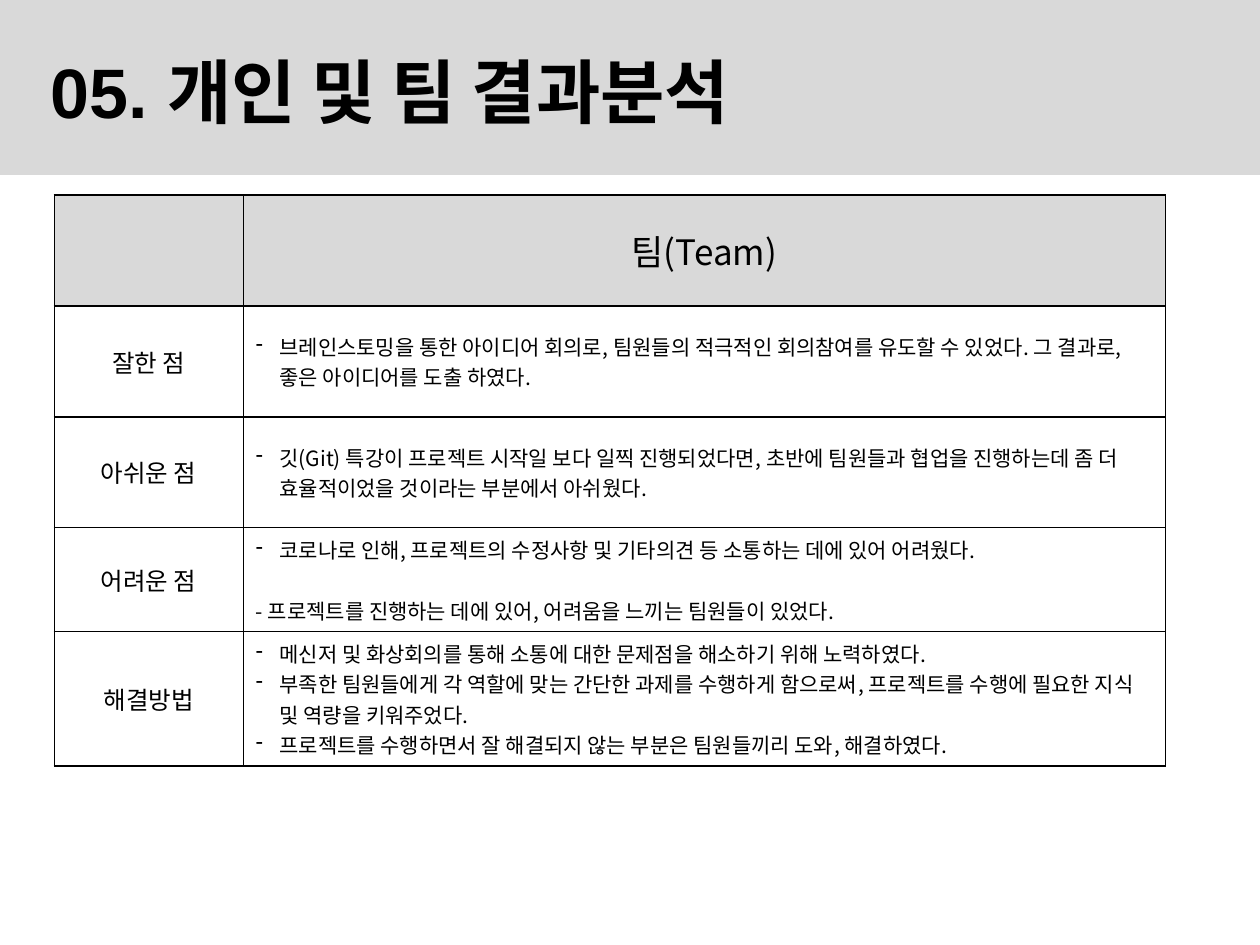
"""Build the slide that reviews individual and team results."""
from dataclasses import dataclass

from lxml.etree import SubElement
from pptx import Presentation
from pptx.dml.color import RGBColor
from pptx.enum.shapes import MSO_SHAPE
from pptx.enum.text import MSO_ANCHOR, MSO_AUTO_SIZE, PP_ALIGN
from pptx.oxml.ns import qn
from pptx.slide import Slide
from pptx.table import _Cell
from pptx.text.text import TextFrame, _Paragraph
from pptx.util import Pt

BLACK = RGBColor(0x00, 0x00, 0x00)
GRAY = RGBColor(0xD9, 0xD9, 0xD9)
LATIN_FONT = "Arial"
KOREAN_FONT = "Noto Sans CJK KR"
PAGE_WIDTH, PAGE_HEIGHT = Pt(720), Pt(540)
BAND_HEIGHT = Pt(100)
COLUMN_WIDTHS = (Pt(108), Pt(527))
ROW_HEIGHTS = (Pt(63.4), Pt(63.4), Pt(63.4), Pt(59), Pt(63.4))
BULLET_INDENT = Pt(13.5)
LINE_GAP = Pt(17.4)


@dataclass(frozen=True)
class Point:
    text: str
    bullet: bool = True
    space_before: int = 0


@dataclass(frozen=True)
class Review:
    label: str
    points: tuple[Point, ...]


REVIEWS = (
    Review("잘한 점", (
        Point("브레인스토밍을 통한 아이디어 회의로, 팀원들의 적극적인 회의참여를 유도할 수 있었다. "
              "그 결과로, 좋은 아이디어를 도출 하였다."),
    )),
    Review("아쉬운 점", (
        Point("깃(Git) 특강이 프로젝트 시작일 보다 일찍 진행되었다면, 초반에 팀원들과 협업을 "
              "진행하는데 좀 더 효율적이었을 것이라는 부분에서 아쉬웠다."),
    )),
    Review("어려운 점", (
        Point("코로나로 인해, 프로젝트의 수정사항 및 기타의견 등 소통하는 데에 있어 어려웠다."),
        Point("- 프로젝트를 진행하는 데에 있어, 어려움을 느끼는 팀원들이 있었다.",
              bullet=False, space_before=LINE_GAP),
    )),
    Review("해결방법", (
        Point("메신저 및 화상회의를 통해 소통에 대한 문제점을 해소하기 위해 노력하였다."),
        Point("부족한 팀원들에게 각 역할에 맞는 간단한 과제를 수행하게 함으로써, "
              "프로젝트를 수행에 필요한 지식 및 역량을 키워주었다."),
        Point("프로젝트를 수행하면서 잘 해결되지 않는 부분은 팀원들끼리 도와, 해결하였다."),
    )),
)


def add_bullet(para: _Paragraph) -> None:
    properties = para._p.get_or_add_pPr()
    properties.set("marL", str(BULLET_INDENT))
    properties.set("indent", str(-BULLET_INDENT))
    SubElement(properties, qn("a:buFontTx"))
    SubElement(properties, qn("a:buChar"), char="-")


def write(frame: TextFrame, text: str, *, size: float, font: str = KOREAN_FONT,
          bold: bool = False, align: PP_ALIGN = PP_ALIGN.LEFT,
          bullet: bool = False, space_before: int = 0) -> None:
    first = frame.paragraphs[0]
    para = frame.add_paragraph() if first.runs else first
    para.alignment = align
    if space_before:
        para.space_before = space_before
    if bullet:
        add_bullet(para)
    span = para.add_run()
    span.text = text
    span.font.size = Pt(size)
    span.font.bold = bold
    span.font.name = font
    span.font.color.rgb = BLACK
    SubElement(span._r.get_or_add_rPr(), qn("a:ea"), typeface=KOREAN_FONT)


def format_cell(cell: _Cell, shaded: bool) -> None:
    cell.vertical_anchor = MSO_ANCHOR.MIDDLE
    properties = cell._tc.get_or_add_tcPr()
    for side in ("lnL", "lnR", "lnT", "lnB"):
        border = SubElement(properties, qn(f"a:{side}"), w=str(Pt(1)))
        fill = SubElement(border, qn("a:solidFill"))
        SubElement(fill, qn("a:srgbClr"), val=str(BLACK))
    if shaded:
        cell.fill.solid()
        cell.fill.fore_color.rgb = GRAY
    else:
        cell.fill.background()


def add_heading(page: Slide) -> None:
    band = page.shapes.add_shape(MSO_SHAPE.RECTANGLE, 0, 0, PAGE_WIDTH, BAND_HEIGHT)
    band.shadow.inherit = False
    band.fill.solid()
    band.fill.fore_color.rgb = GRAY
    band.line.fill.background()
    page.shapes._spTree.insert(2, band._element)

    title = page.shapes.title
    title.left, title.top, title.width, title.height = Pt(21.6), Pt(29.5), Pt(608), Pt(44)
    frame = title.text_frame
    frame.auto_size = MSO_AUTO_SIZE.NONE
    frame.word_wrap = True
    frame.vertical_anchor = MSO_ANCHOR.MIDDLE
    write(frame, "05. 개인 및 팀 결과분석", size=40, font=LATIN_FONT, bold=True)


def add_review_table(page: Slide) -> None:
    box = page.shapes.add_table(len(ROW_HEIGHTS), len(COLUMN_WIDTHS), Pt(31), Pt(111.4),
                                sum(COLUMN_WIDTHS), sum(ROW_HEIGHTS))
    table = box.table
    table.first_row = table.horz_banding = False
    for column, width in zip(table.columns, COLUMN_WIDTHS):
        column.width = width
    for index, (row, height) in enumerate(zip(table.rows, ROW_HEIGHTS)):
        row.height = height
        for cell in row.cells:
            format_cell(cell, shaded=index == 0)

    write(table.cell(0, 1).text_frame, "팀(Team)", size=20, align=PP_ALIGN.CENTER)
    for index, review in enumerate(REVIEWS, start=1):
        write(table.cell(index, 0).text_frame, review.label, size=14, align=PP_ALIGN.CENTER)
        for point in review.points:
            write(table.cell(index, 1).text_frame, point.text, size=12,
                  bullet=point.bullet, space_before=point.space_before)


def main() -> None:
    deck = Presentation()
    deck.slide_width, deck.slide_height = PAGE_WIDTH, PAGE_HEIGHT
    page = deck.slides.add_slide(deck.slide_layouts.get_by_name("Title Only"))
    add_heading(page)
    add_review_table(page)
    deck.save("out.pptx")


if __name__ == "__main__":
    main()
